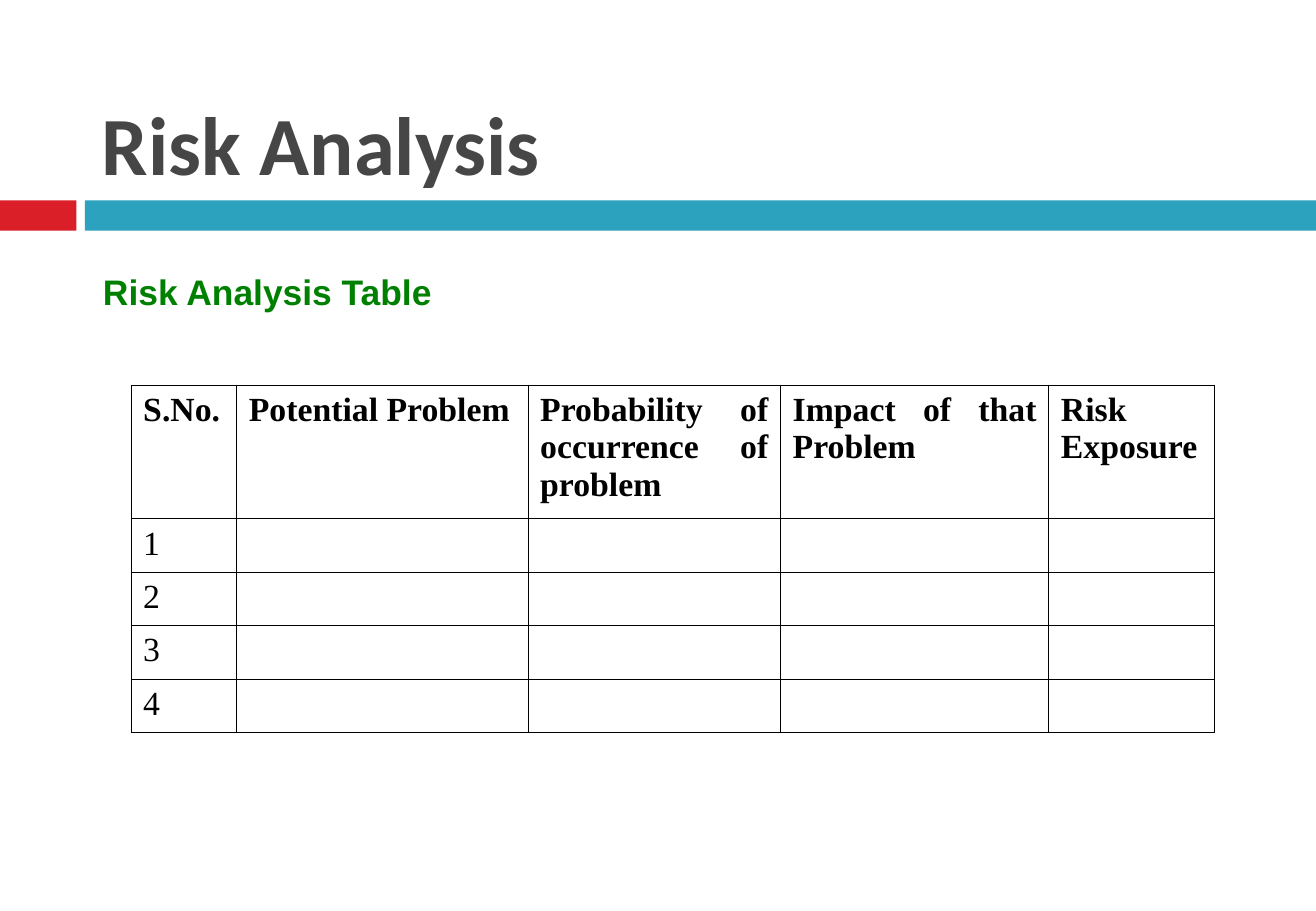
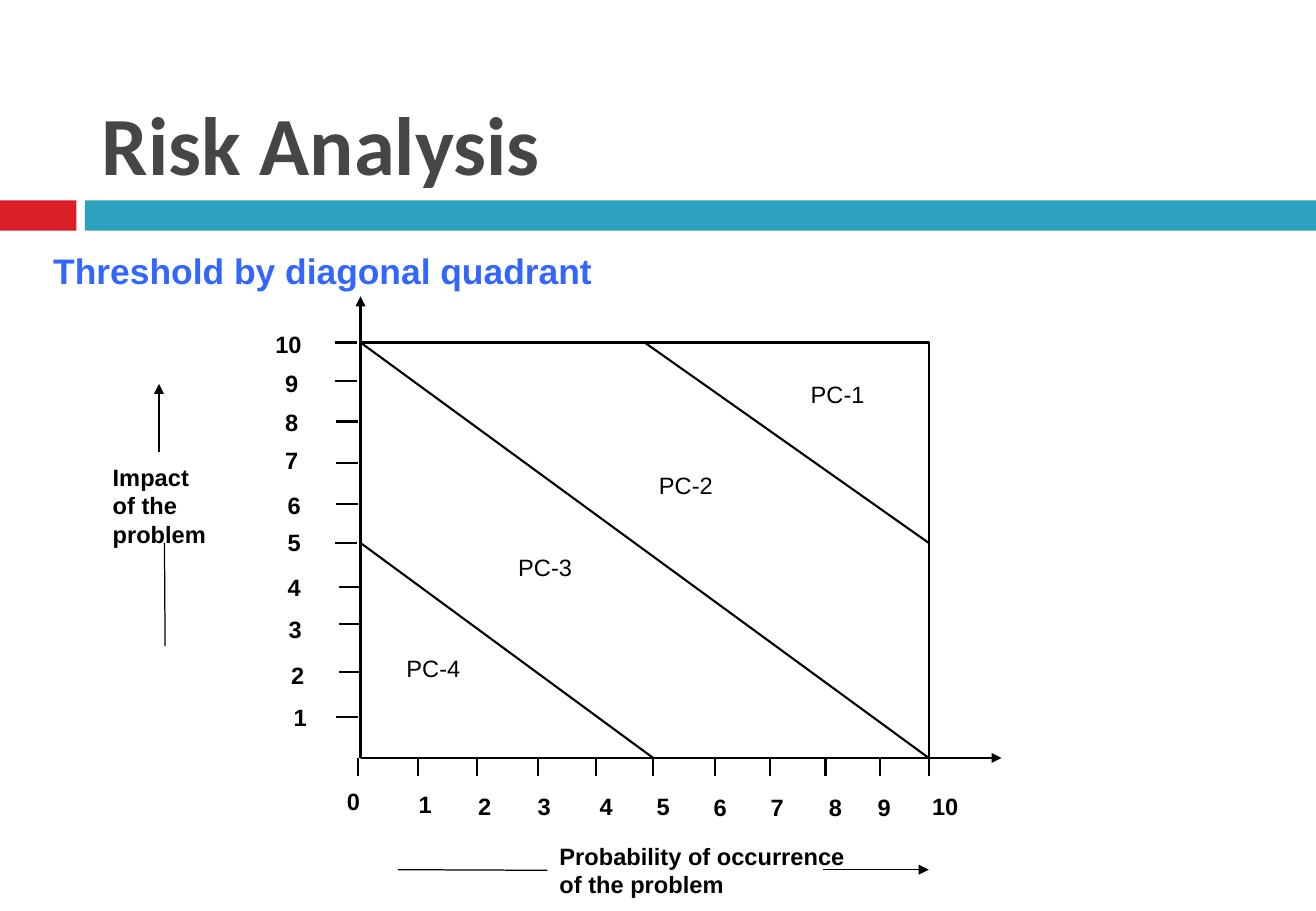
"""Build two risk analysis slides: a blank risk table and a threshold diagram."""
from lxml.etree import SubElement
from pptx import Presentation
from pptx.dml.color import RGBColor
from pptx.enum.shapes import MSO_CONNECTOR, MSO_SHAPE
from pptx.enum.text import MSO_ANCHOR, PP_ALIGN
from pptx.oxml import parse_xml
from pptx.oxml.ns import nsdecls, qn
from pptx.util import Pt

PX = 9144
COLORS = {
    "white": "FFFFFF", "black": "000000", "title": "464646", "red": "DA1F28",
    "teal": "2DA2BF", "green": "008000", "blue": "3366FF",
}
FORMATS = {
    "title": {"name": "Calibri", "size": Pt(49), "bold": True},
    "heading": {"name": "Arial", "size": Pt(21), "bold": True},
    "label": {"name": "Arial", "size": Pt(14), "bold": True},
    "region": {"name": "Arial", "size": Pt(14), "bold": False},
    "header": {"name": "Times New Roman", "size": Pt(20), "bold": True},
    "cell": {"name": "Times New Roman", "size": Pt(20), "bold": False},
}


def write_text(frame, text, format_name, color="black", align=PP_ALIGN.LEFT):
    paragraph = frame.paragraphs[0]
    paragraph.alignment = align
    run = paragraph.add_run()
    run.text = text
    for attribute, value in FORMATS[format_name].items():
        setattr(run.font, attribute, value)
    run.font.color.rgb = RGBColor.from_string(COLORS[color])


def add_line(slide, start, end, width=1.25, arrow=False):
    points = [value * PX for value in (*start, *end)]
    connector = slide.shapes.add_connector(MSO_CONNECTOR.STRAIGHT, *points)
    connector.line.width = Pt(width)
    connector.line.color.rgb = RGBColor.from_string(COLORS["black"])
    if arrow:
        SubElement(connector.line._get_or_add_ln(), qn("a:tailEnd"), type="triangle")
    SubElement(connector._element.spPr, qn("a:effectLst"))
    return connector


presentation = Presentation()
presentation.slide_width = 1084 * PX
presentation.slide_height = 750 * PX

slides = []
for heading, color, box in [
    ("Risk Analysis Table", "green", (75, 217, 302, 45)),
    ("Threshold by diagonal quadrant", "blue", (34, 200, 472, 45)),
]:
    slide = presentation.slides.add_slide(presentation.slide_layouts[6])
    slides.append(slide)
    for left, width, band_color in [(0, 63, "red"), (70, 1014, "teal")]:
        band = slide.shapes.add_shape(
            MSO_SHAPE.RECTANGLE, left * PX, 165 * PX, width * PX, 25 * PX)
        band.shadow.inherit = False
        band.fill.solid()
        band.fill.fore_color.rgb = RGBColor.from_string(COLORS[band_color])
        band.line.fill.background()

    title = slide.shapes.add_textbox(72 * PX, 17 * PX, 966 * PX, 147 * PX).text_frame
    for attribute, value in {
        "word_wrap": True, "vertical_anchor": MSO_ANCHOR.BOTTOM,
        "margin_left": 12 * PX, "margin_right": 12 * PX,
        "margin_top": 6 * PX, "margin_bottom": 6 * PX,
    }.items():
        setattr(title, attribute, value)
    write_text(title, "Risk Analysis", "title", "title")

    subtitle = slide.shapes.add_textbox(*[value * PX for value in box]).text_frame
    subtitle.word_wrap = False
    subtitle.vertical_anchor = MSO_ANCHOR.MIDDLE
    write_text(subtitle, heading, "heading", color)

table_slide, diagram_slide = slides

headers = ["S.No.", "Potential Problem", "Probability of occurrence of problem",
           "Impact of that Problem", "Risk Exposure"]
column_widths = [87, 240, 208, 221, 136]
row_heights = [110] + [44] * 4
table = table_slide.shapes.add_table(
    len(row_heights), len(column_widths), 108 * PX, 317 * PX,
    sum(column_widths) * PX, sum(row_heights) * PX).table
table.first_row = False
table.horz_banding = False
for column, width in zip(table.columns, column_widths):
    column.width = width * PX
for row, height in zip(table.rows, row_heights):
    row.height = height * PX
for column_index, header in enumerate(headers):
    write_text(table.cell(0, column_index).text_frame, header, "header",
               align=PP_ALIGN.JUSTIFY)
for number in range(1, len(row_heights)):
    write_text(table.cell(number, 0).text_frame, str(number), "cell",
               align=PP_ALIGN.JUSTIFY)
for cell in table.iter_cells():
    cell.fill.background()
    properties = cell._tc.get_or_add_tcPr()
    for position, side in enumerate(["lnL", "lnR", "lnT", "lnB"]):
        properties.insert(position, parse_xml(
            f'<a:{side} {nsdecls("a")} w="{int(Pt(0.45))}"><a:solidFill>'
            f'<a:srgbClr val="{COLORS["black"]}"/></a:solidFill></a:{side}>'))

left, top, right, bottom = 297, 282, 765, 624
plot = diagram_slide.shapes.add_shape(
    MSO_SHAPE.RECTANGLE, left * PX, top * PX, (right - left) * PX, (bottom - top) * PX)
plot.shadow.inherit = False
plot.fill.solid()
plot.fill.fore_color.rgb = RGBColor.from_string(COLORS["white"])
plot.line.color.rgb = RGBColor.from_string(COLORS["black"])
plot.line.width = Pt(1.25)

impact_ticks = [(277, 590), (279, 553), (279, 514), (279, 483), (276, 447),
                (277, 415), (277, 381), (277, 347), (276, 314), (276, 282)]
impact_labels = [(232, 574), (230, 539), (228, 501), (227, 467), (227, 430),
                 (227, 399), (225, 362), (225, 331), (225, 299), (217, 267)]
probability_ticks = [295, 344, 393, 443, 491, 538, 589, 634, 680, 725, 765]
probability_labels = [(276, 643), (335, 645), (384, 647), (433, 647), (484, 647),
                      (531, 647), (578, 648), (625, 648), (673, 648), (713, 648),
                      (758, 647)]

labels = [
    ("Impact of the problem", (83, 376, 105, 71), "label"),
    ("Probability of occurrence of the problem", (451, 688, 262, 57), "label"),
    ("PC-4", (325, 533, 83, 42), "region"),
    ("PC-3", (417, 450, 92, 33), "region"),
    ("PC-2", (533, 383, 83, 33), "region"),
    ("PC-1", (658, 308, 83, 33), "region"),
]
for first, corners in [(1, impact_labels), (0, probability_labels)]:
    for number, corner in enumerate(corners, first):
        labels.append((str(number), (*corner, 50 if number == 10 else 35, 28), "label"))

label_shapes = {}
for text, box, format_name in labels:
    shape = diagram_slide.shapes.add_shape(
        MSO_SHAPE.RECTANGLE, *[value * PX for value in box])
    shape.shadow.inherit = False
    shape.fill.solid()
    shape.fill.fore_color.rgb = RGBColor.from_string(COLORS["white"])
    shape.line.fill.background()
    shape.text_frame.word_wrap = True
    shape.text_frame.vertical_anchor = MSO_ANCHOR.TOP
    write_text(shape.text_frame, text, format_name)
    label_shapes[text] = shape

for x, y in impact_ticks:
    add_line(diagram_slide, (x, y), (x + 18, y))
for x in probability_ticks:
    add_line(diagram_slide, (x, bottom), (x, bottom + 15))

add_line(diagram_slide, (left, bottom), (left, 244), arrow=True)
add_line(diagram_slide, (left, bottom), (825, bottom), arrow=True)
add_line(diagram_slide, (left, top), (right, bottom))
add_line(diagram_slide, (left, 447), (538, bottom))
upper_threshold = add_line(diagram_slide, (531, top), (right, 447))
upper_threshold.begin_connect(plot, 0)

add_line(diagram_slide, (131, 372), (131, 316), 0.75, arrow=True)
impact_line = add_line(diagram_slide, (136, 447), (136, 532), 0.75)
impact_line.begin_connect(label_shapes["Impact of the problem"], 2)
probability_line = add_line(diagram_slide, (451, 716), (328, 716), 0.75)
probability_line.begin_connect(
    label_shapes["Probability of occurrence of the problem"], 1)
add_line(diagram_slide, (678, 716), (765, 716), 0.75, arrow=True)

presentation.save("out.pptx")
